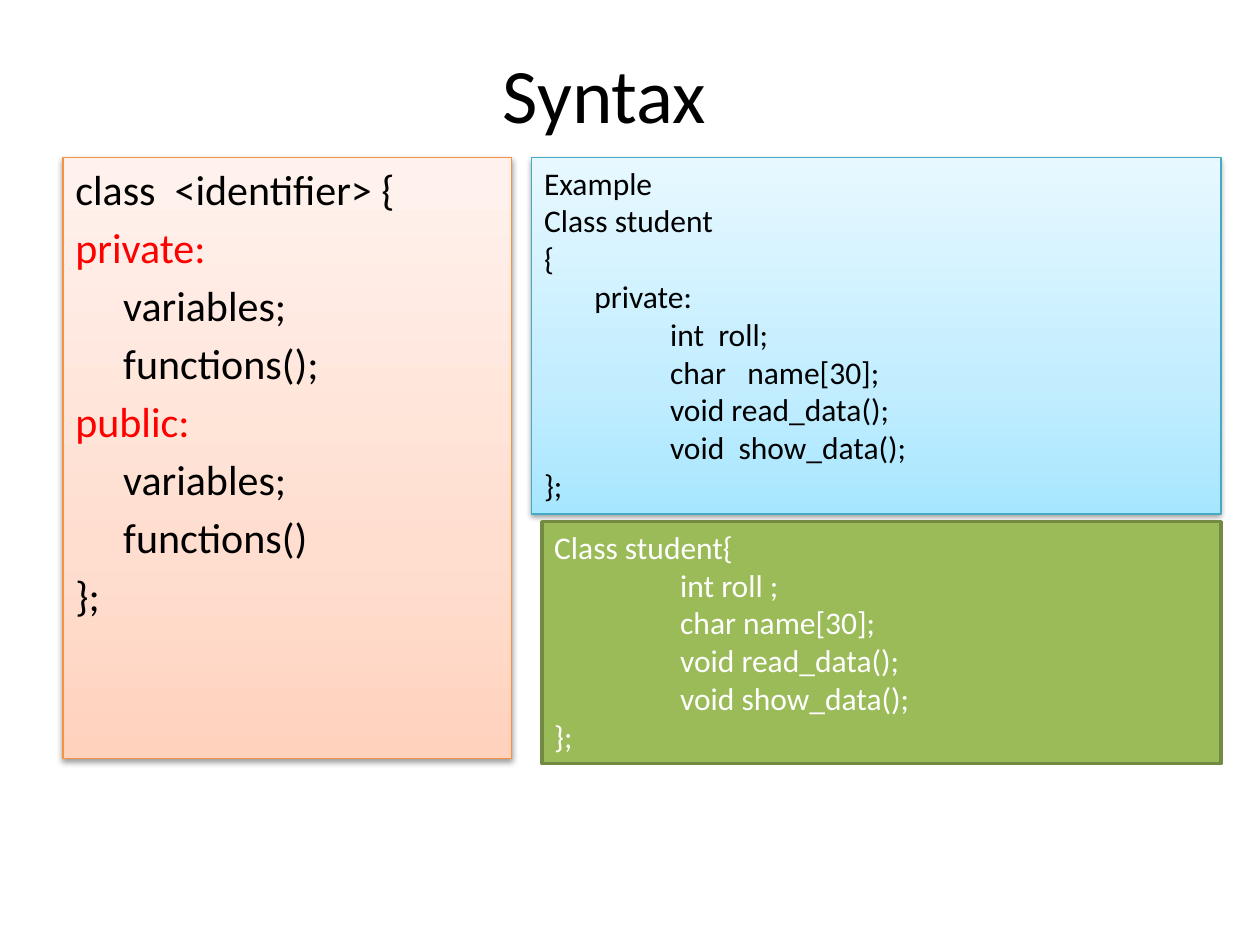
import pptx
import pptx.util
import pptx.dml.color
import pptx.enum.shapes
import pptx.enum.text
import pptx.oxml
import pptx.oxml.ns
from dataclasses import dataclass

Inches = pptx.util.Inches
Pt = pptx.util.Pt


@dataclass(frozen=True)
class Theme:
    font: str = "Calibri"
    head: int = 44
    large: int = 24
    small: int = 18
    black: str = "000000"
    white: str = "FFFFFF"
    red: str = "FF0000"
    peach: tuple = ("FFD2BD", "FFDED0", "FFF2ED")
    sky: tuple = ("A7E6FF", "C1EDFF", "E7F8FF")
    green: tuple = ("9BBB59",)


theme = Theme()
color = pptx.dml.color.RGBColor.from_string
ns = pptx.oxml.ns.nsdecls("a")

deck = pptx.Presentation()
deck.slide_width, deck.slide_height = Inches(10), Inches(7.5)
slide = deck.slides.add_slide(deck.slide_layouts[6])


def write(frame, lines, size, gap=0, align=pptx.enum.text.PP_ALIGN.LEFT):
    frame.word_wrap = True
    for row, (text, indent, ink) in enumerate(lines):
        para = frame.paragraphs[0] if row == 0 else frame.add_paragraph()
        para.alignment = align
        para.space_before = Pt(gap)
        para._p.get_or_add_pPr().set("marL", str(Inches(indent)))
        run = para.add_run()
        run.text = text
        run.font.name = theme.font
        run.font.size = Pt(size)
        run.font.color.rgb = color(ink)


def panel(place, tones, edge, width):
    box = slide.shapes.add_shape(
        pptx.enum.shapes.MSO_SHAPE.RECTANGLE, *map(Inches, place))
    box.shadow.inherit = False
    box.line.color.rgb = color(edge)
    box.line.width = Pt(width)
    box.text_frame.vertical_anchor = pptx.enum.text.MSO_ANCHOR.TOP
    if len(tones) == 1:
        box.fill.solid()
        box.fill.fore_color.rgb = color(tones[0])
        return box.text_frame
    box.fill.gradient()
    box.fill.gradient_angle = 90
    stops = box._element.spPr.find(".//" + pptx.oxml.ns.qn("a:gsLst"))
    for stop in list(stops):
        stops.remove(stop)
    for share, tone in zip((0, 35, 100), tones):
        stops.append(pptx.oxml.parse_xml(
            f'<a:gs {ns} pos="{share * 1000}"><a:srgbClr val="{tone}"/></a:gs>'))
    glow = box._element.spPr.find(pptx.oxml.ns.qn("a:effectLst"))
    glow.append(pptx.oxml.parse_xml(
        f'<a:outerShdw {ns} blurRad="{Pt(3.1)}" dist="{Pt(1.6)}" dir="5400000" '
        f'rotWithShape="0"><a:srgbClr val="{theme.black}">'
        '<a:alpha val="38000"/></a:srgbClr></a:outerShdw>'))
    return box.text_frame


left, top, right = 0.5, 1.25, 9.69
step, half, full = 0.38, 0.4, 1

title = slide.shapes.add_textbox(*map(Inches, (left, 0.3, 9, 0.87))).text_frame
title.vertical_anchor = pptx.enum.text.MSO_ANCHOR.MIDDLE
title.margin_right = Inches(0.5)
write(title, [("Syntax", 0, theme.black)], theme.head,
      align=pptx.enum.text.PP_ALIGN.CENTER)

form = [("class  <identifier> {", 0, theme.black)]
for scope, end in (("private:", ";"), ("public:", "")):
    form += [(scope, 0, theme.red),
             ("variables;", step, theme.black),
             ("functions()" + end, step, theme.black)]
form.append(("};", 0, theme.black))
write(panel((left, top, 3.56, 4.77), theme.peach, "F69240", 0.75),
      form, theme.large, gap=4.3)

sample = [("Example", 0), ("Class student", 0), ("{", 0), ("private:", half),
          ("int  roll;", full), ("char   name[30];", full),
          ("void read_data();", full), ("void  show_data();", full), ("};", 0)]
brief = [("Class student{", 0), ("int roll ;", full), ("char name[30];", full),
         ("void read_data();", full), ("void show_data();", full), ("};", 0)]
for x, y, tall, tones, edge, width, ink, code in (
        (4.22, top, 2.83, theme.sky, "46AAC5", 0.75, theme.black, sample),
        (4.3, 4.14, 1.92, theme.green, "738A42", 2, theme.white, brief)):
    write(panel((x, y, right - x, tall), tones, edge, width),
          [(text, indent, ink) for text, indent in code], theme.small)

deck.save("out.pptx")
